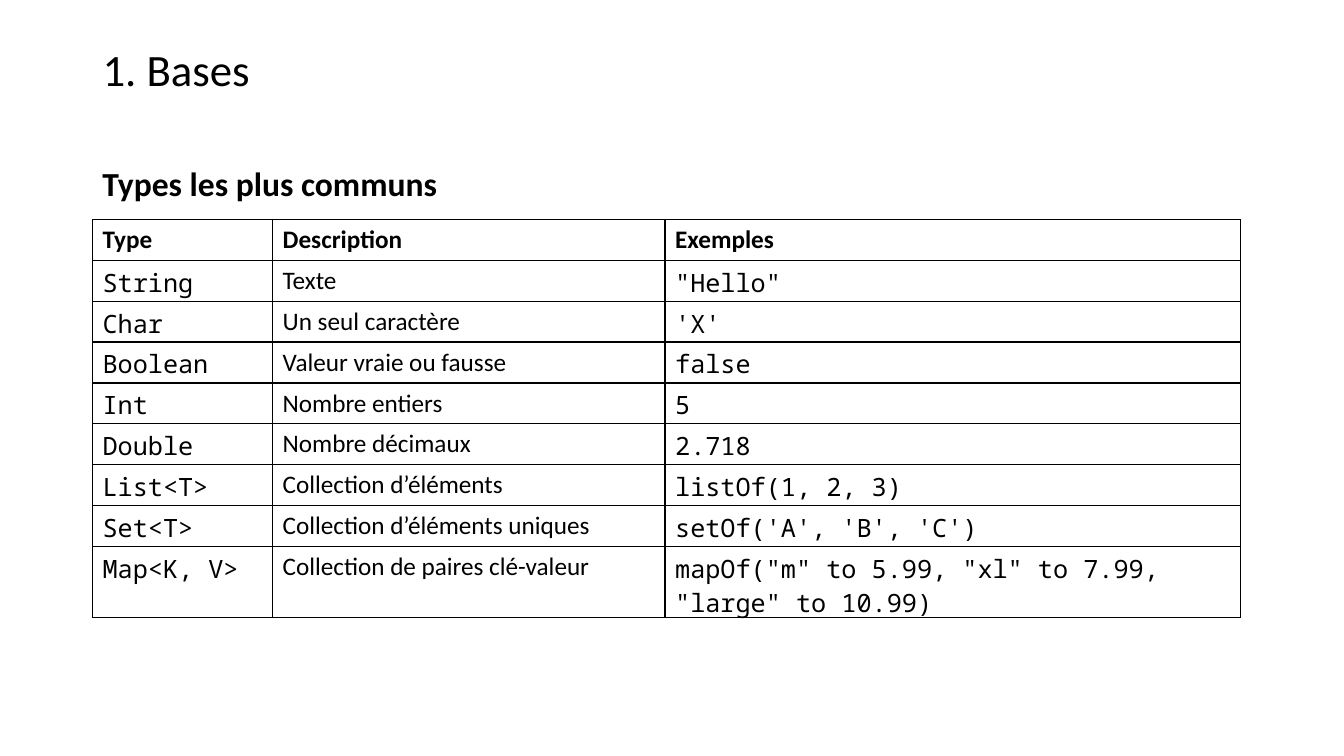
from lxml.etree import SubElement
from pptx import Presentation
from pptx.dml.color import RGBColor
from pptx.enum.text import MSO_ANCHOR, PP_ALIGN
from pptx.oxml.ns import qn
from pptx.util import Cm, Pt

COLORS = {"text": "000000", "border": "000000"}
BODY_FONT = "Calibri"
CODE_FONT = "Noto Sans Mono"
ROW_HEIGHT = 1.03
LAST_ROW_HEIGHT = 1.78
COLUMN_WIDTHS = [4.54, 9.89, 14.5]
ROWS = [
    ("Type", "Description", "Exemples"),
    ("String", "Texte", '"Hello"'),
    ("Char", "Un seul caractère", "'X'"),
    ("Boolean", "Valeur vraie ou fausse", "false"),
    ("Int", "Nombre entiers", "5"),
    ("Double", "Nombre décimaux", "2.718"),
    ("List<T>", "Collection d’éléments", "listOf(1, 2, 3)"),
    ("Set<T>", "Collection d’éléments uniques", "setOf('A', 'B', 'C')"),
    ("Map<K, V>", "Collection de paires clé-valeur",
     'mapOf("m" to 5.99, "xl" to 7.99, "large" to 10.99)'),
]


def write(tf, text, size, font=BODY_FONT, bold=False):
    """Put one formatted paragraph in a text frame and return it."""
    tf.word_wrap = True
    p = tf.paragraphs[0]
    p.text = text
    p.font.name = font
    p.font.size = Pt(size)
    p.font.bold = bold
    p.font.color.rgb = RGBColor.from_string(COLORS["text"])
    return p


def add_title(s, text, left, top, width, height):
    """Place the slide title in its placeholder."""
    sp = s.shapes.title
    sp.left, sp.top, sp.width, sp.height = map(Cm, (left, top, width, height))
    sp.text_frame.vertical_anchor = MSO_ANCHOR.MIDDLE
    p = write(sp.text_frame, text, 32)
    p.alignment = PP_ALIGN.LEFT
    p.line_spacing = 0.9


def add_heading(s, text, left, top, width, height):
    """Place the bold heading above the table."""
    sp = s.shapes.add_textbox(*map(Cm, (left, top, width, height)))
    write(sp.text_frame, text, 24, bold=True)


def set_borders(cell):
    """Draw a thin line on all four sides of a cell."""
    tc_pr = cell._tc.get_or_add_tcPr()
    for side in ("lnL", "lnR", "lnT", "lnB"):
        ln = SubElement(tc_pr, qn(f"a:{side}"), w=str(Pt(1)))
        fill = SubElement(ln, qn("a:solidFill"))
        SubElement(fill, qn("a:srgbClr"), val=COLORS["border"])


def add_types_table(s, left, top):
    """Place the table of types, with code in the outer columns."""
    heights = [ROW_HEIGHT] * (len(ROWS) - 1) + [LAST_ROW_HEIGHT]
    box = (left, top, sum(COLUMN_WIDTHS), sum(heights))
    table = s.shapes.add_table(len(ROWS), len(COLUMN_WIDTHS), *map(Cm, box)).table
    table.first_row = False
    table.horz_banding = False
    for column, width in zip(table.columns, COLUMN_WIDTHS):
        column.width = Cm(width)
    for i, (row, height, texts) in enumerate(zip(table.rows, heights, ROWS)):
        row.height = Cm(height)
        for j, (cell, text) in enumerate(zip(row.cells, texts)):
            is_code = i > 0 and j != 1
            write(cell.text_frame, text, 18, CODE_FONT if is_code else BODY_FONT, i == 0)
            cell.margin_bottom = Cm(0)
            set_borders(cell)
            cell.fill.background()


def main():
    """Build the slide and save it."""
    prs = Presentation()
    prs.slide_width, prs.slide_height = Cm(33.87), Cm(19.05)
    s = prs.slides.add_slide(prs.slide_layouts[5])
    left, width = 2.33, 29.21
    add_title(s, "1. Bases", left, 1.02, width, 1.6)
    add_heading(s, "Types les plus communs", left, 3.99, width, 1.27)
    add_types_table(s, left, 5.53)
    prs.save("out.pptx")


if __name__ == "__main__":
    main()
